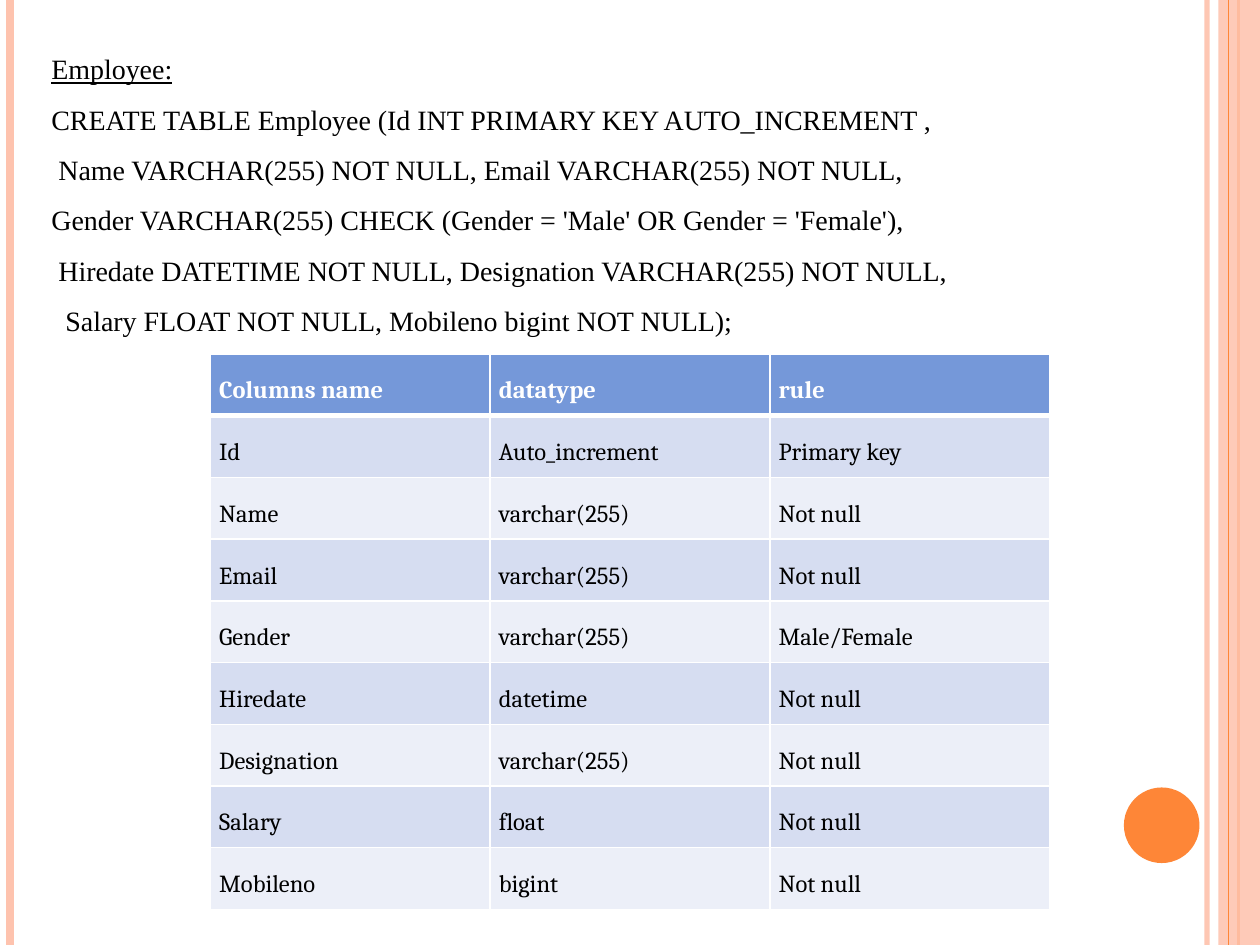
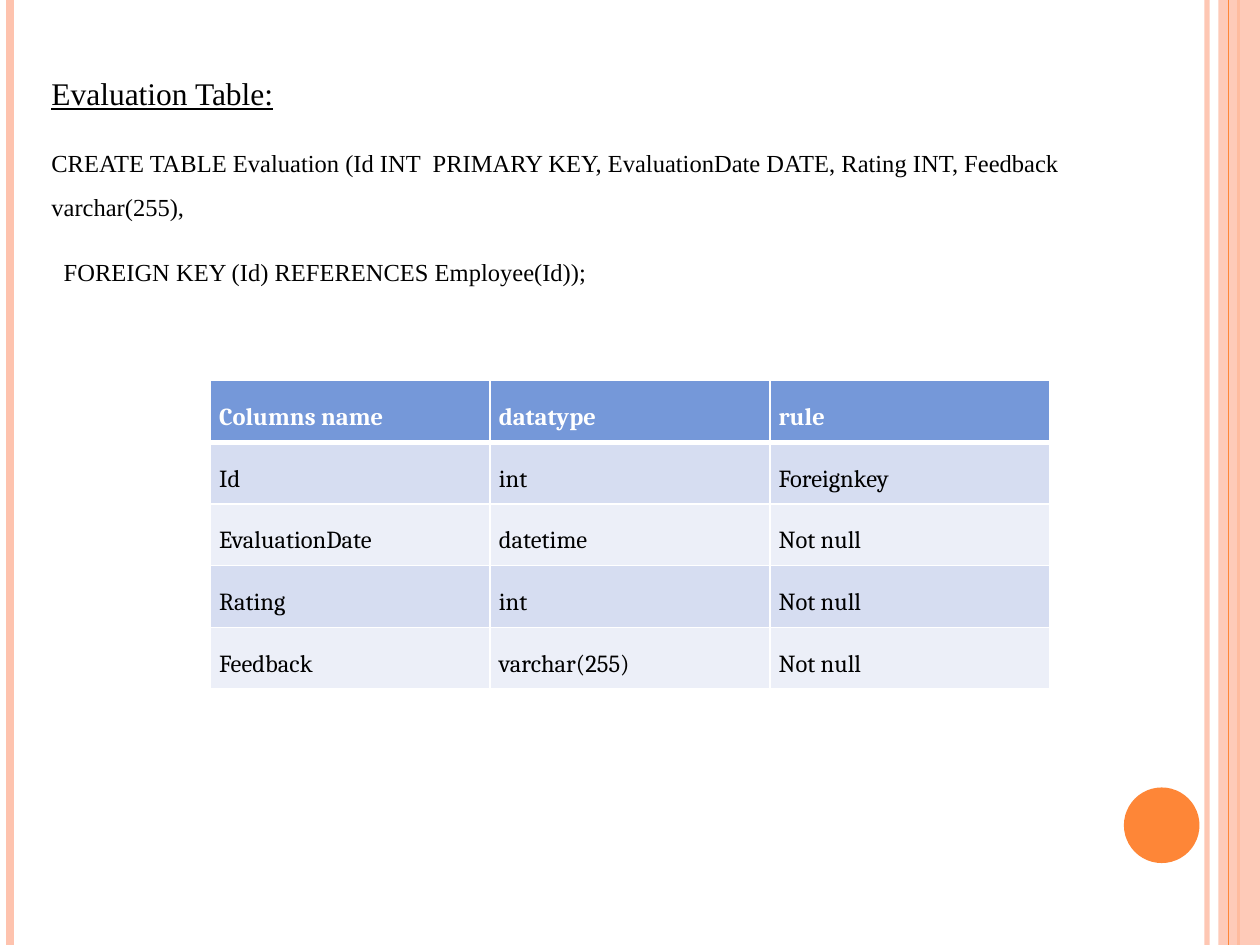
from lxml import etree
from pptx import Presentation
from pptx.dml.color import RGBColor
from pptx.enum.shapes import MSO_CONNECTOR, MSO_SHAPE
from pptx.enum.text import PP_ALIGN
from pptx.oxml.ns import qn
from pptx.util import Inches, Pt

STRAIGHT = MSO_CONNECTOR.STRAIGHT
RECTANGLE, OVAL = MSO_SHAPE.RECTANGLE, MSO_SHAPE.OVAL
LEFT, JUSTIFY = PP_ALIGN.LEFT, PP_ALIGN.JUSTIFY

WHITE = RGBColor(0xFF, 0xFF, 0xFF)
BLACK = RGBColor(0x00, 0x00, 0x00)
ORANGE = RGBColor(0xFE, 0x86, 0x37)
PEACH = RGBColor(0xFE, 0xC3, 0xAE)
HEADER_BLUE = RGBColor(0x75, 0x98, 0xD9)
BAND_DARK = RGBColor(0xD6, 0xDD, 0xF1)
BAND_LIGHT = RGBColor(0xEC, 0xEF, 0xF8)

SLIDE_WIDTH, SLIDE_HEIGHT = 10, 7.5
SQL_FONT, TABLE_FONT = "Times New Roman", "Cambria"
TABLE_SIZE = 14
LINE_SPACING = 1.5
TABLE_LEFT, COLUMN_WIDTH, ROW_HEIGHT, CELL_INSET = 1.67, 2.22, 0.41, 0.07
COLUMN_HEADINGS = ("Columns name", "datatype", "rule")

EMPLOYEE_SQL = [
    (0, "CREATE TABLE Employee (Id INT PRIMARY KEY AUTO_INCREMENT ,"),
    (1, "Name VARCHAR(255) NOT NULL, Email VARCHAR(255) NOT NULL,"),
    (0, "Gender VARCHAR(255) CHECK (Gender = 'Male' OR Gender = 'Female'),"),
    (1, "Hiredate DATETIME NOT NULL, Designation VARCHAR(255) NOT NULL,"),
    (2, "Salary FLOAT NOT NULL, Mobileno bigint NOT NULL);"),
]
EMPLOYEE_COLUMNS = [
    ("Id", "Auto_increment", "Primary key"),
    ("Name", "varchar(255)", "Not null"),
    ("Email", "varchar(255)", "Not null"),
    ("Gender", "varchar(255)", "Male/Female"),
    ("Hiredate", "datetime", "Not null"),
    ("Designation", "varchar(255)", "Not null"),
    ("Salary", "float", "Not null"),
    ("Mobileno", "bigint", "Not null"),
]
EVALUATION_SQL = [
    (0, "CREATE TABLE Evaluation (Id INT  PRIMARY KEY, EvaluationDate DATE, "
        "Rating INT, Feedback varchar(255),"),
    (2, "FOREIGN KEY (Id) REFERENCES Employee(Id));"),
]
EVALUATION_COLUMNS = [
    ("Id", "int", "Foreignkey"),
    ("EvaluationDate", "datetime", "Not null"),
    ("Rating", "int", "Not null"),
    ("Feedback", "varchar(255)", "Not null"),
]


def set_opacity(drawn, percent):
    """Make every colour set so far on a shape or line partly transparent."""
    for colour in drawn._element.spPr.iter(qn("a:srgbClr")):
        etree.SubElement(colour, qn("a:alpha")).set("val", str(percent * 1000))


def set_borders(cell, top, bottom):
    """Draw white cell borders: 1 pt at the sides, given widths above and below."""
    properties = cell._tc.get_or_add_tcPr()
    for side, width in (("L", 1), ("R", 1), ("T", top), ("B", bottom)):
        border = etree.SubElement(properties, qn(f"a:ln{side}"), w=str(Pt(width)))
        fill = etree.SubElement(border, qn("a:solidFill"))
        etree.SubElement(fill, qn("a:srgbClr"), val=str(WHITE))


class SchemaDeck:
    def __init__(self):
        self.presentation = Presentation()
        self.presentation.slide_width = Inches(SLIDE_WIDTH)
        self.presentation.slide_height = Inches(SLIDE_HEIGHT)
        self.slide = None

    def add_slide(self):
        """Start a slide with the shared side stripes and orange disc."""
        self.slide = self.presentation.slides.add_slide(
            self.presentation.slide_layouts[6])
        self.slide.background.fill.solid()
        self.slide.background.fill.fore_color.rgb = WHITE
        set_opacity(self.add_stripe(9.58, PEACH, 3), 93)
        self.add_stripe(0.08, PEACH, 4.5)
        self.add_stripe(9.83, ORANGE, 1.5)
        band = self.add_filled(RECTANGLE, 9.67, 0, 0.33, SLIDE_HEIGHT, PEACH)
        set_opacity(band, 87)
        self.add_stripe(9.75, ORANGE, 0.75)
        self.add_filled(OVAL, 8.92, 6.25, 0.6, 0.6, ORANGE)

    def add_stripe(self, x, colour, width):
        stripe = self.slide.shapes.add_connector(
            STRAIGHT, Inches(x), Inches(0), Inches(x), Inches(SLIDE_HEIGHT))
        stripe.line.color.rgb = colour
        stripe.line.width = Pt(width)
        etree.SubElement(stripe._element.spPr, qn("a:effectLst"))
        return stripe

    def add_filled(self, kind, left, top, width, height, colour):
        shape = self.slide.shapes.add_shape(
            kind, Inches(left), Inches(top), Inches(width), Inches(height))
        shape.shadow.inherit = False
        shape.fill.solid()
        shape.fill.fore_color.rgb = colour
        shape.line.fill.background()
        return shape

    def add_run(self, paragraph, text, font, size, colour=BLACK,
                bold=False, underline=False):
        paragraph.line_spacing = LINE_SPACING
        run = paragraph.add_run()
        run.text = text
        run.font.name = font
        run.font.size = Pt(size)
        run.font.color.rgb = colour
        run.font.bold = bold
        run.font.underline = underline

    def add_statement(self, box, heading, heading_size, sql_lines, sql_size,
                      alignment=LEFT, space_after=0):
        """Write an underlined heading, then SQL lines given as (indent, text)."""
        frame = self.slide.shapes.add_textbox(*map(Inches, box)).text_frame
        frame.word_wrap = True
        paragraph = frame.paragraphs[0]
        self.add_run(paragraph, heading, SQL_FONT, heading_size, underline=True)
        for indent, text in sql_lines:
            paragraph = frame.add_paragraph()
            # One indent step is a quarter of the type size.
            first_line = Pt(indent * sql_size / 4)
            paragraph._p.get_or_add_pPr().set("indent", str(first_line))
            self.add_run(paragraph, text, SQL_FONT, sql_size)
        for paragraph in frame.paragraphs:
            paragraph.alignment = alignment
            paragraph.space_after = Pt(space_after)

    def add_columns_table(self, top, columns):
        rows = [COLUMN_HEADINGS, *columns]
        table = self.slide.shapes.add_table(
            len(rows), len(COLUMN_HEADINGS), Inches(TABLE_LEFT), Inches(top),
            Inches(COLUMN_WIDTH * len(COLUMN_HEADINGS)),
            Inches(ROW_HEIGHT * len(rows))).table
        for row_index, row in enumerate(rows):
            is_header = row_index == 0
            band = BAND_DARK if row_index % 2 else BAND_LIGHT
            for column_index, text in enumerate(row):
                cell = table.cell(row_index, column_index)
                set_borders(cell, top=3 if row_index == 1 else 1,
                            bottom=3 if is_header else 1)
                cell.fill.solid()
                cell.fill.fore_color.rgb = HEADER_BLUE if is_header else band
                cell.margin_left = cell.margin_right = Inches(CELL_INSET)
                cell.margin_top = cell.margin_bottom = Inches(CELL_INSET)
                self.add_run(cell.text_frame.paragraphs[0], text, TABLE_FONT,
                             TABLE_SIZE, WHITE if is_header else BLACK,
                             bold=is_header)


def main():
    deck = SchemaDeck()

    deck.add_slide()
    deck.add_statement((0.31, 0.23, 9.14, 4.39), "Employee:", 16,
                       EMPLOYEE_SQL, 16, alignment=JUSTIFY)
    deck.add_columns_table(2.81, EMPLOYEE_COLUMNS)

    deck.add_slide()
    deck.add_statement((0.31, 0.39, 9.3, 3.47), "Evaluation Table:", 18,
                       EVALUATION_SQL, 14, space_after=12)
    deck.add_columns_table(3.02, EVALUATION_COLUMNS)

    deck.presentation.save("out.pptx")


if __name__ == "__main__":
    main()
